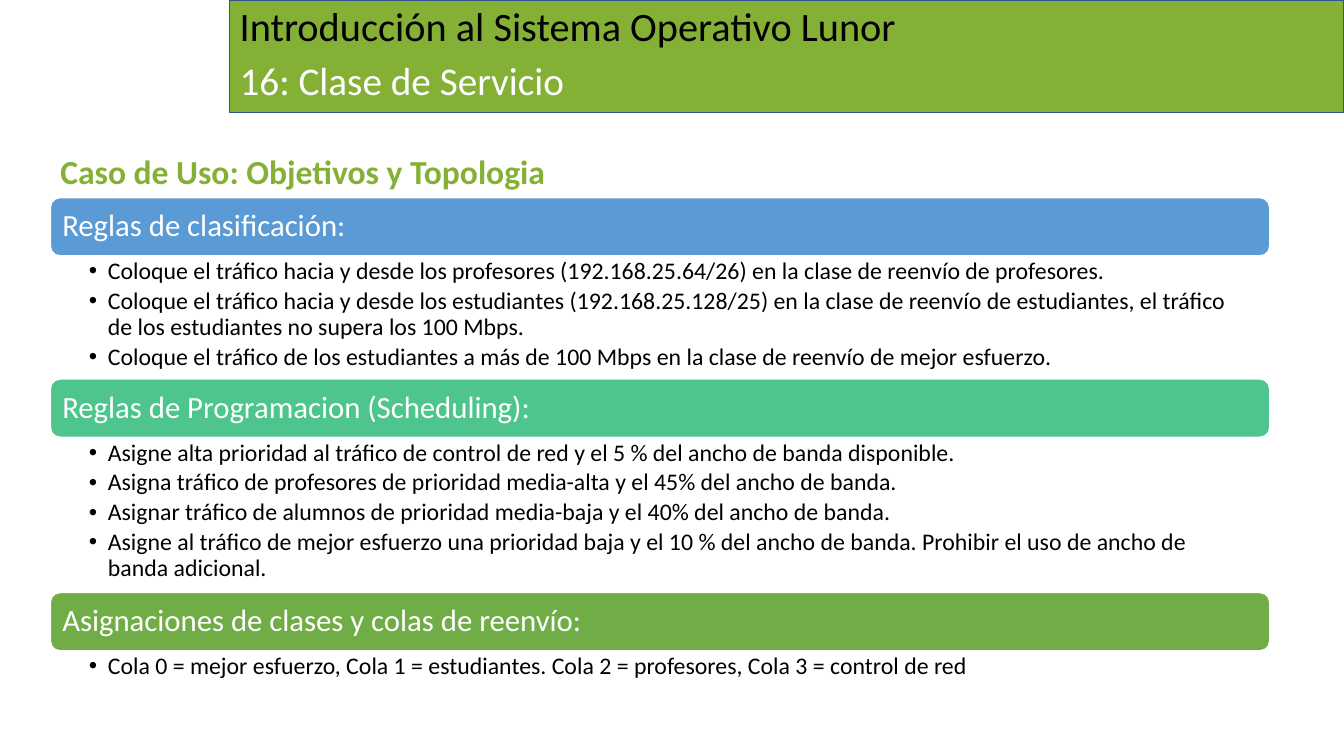
from pptx import Presentation
from pptx.dml.color import RGBColor
from pptx.enum.shapes import MSO_SHAPE
from pptx.enum.text import MSO_ANCHOR, PP_ALIGN
from pptx.oxml.ns import qn
from pptx.util import Cm, Pt
from lxml.etree import SubElement

INK = {
    "lime": "84B135", "navy": "325491", "white": "FFFFFF", "black": "000000",
    "blue": "5B9BD5", "mint": "4DC58D", "green": "70AD47",
}
FONT = "Calibri"

HEADS = [
    ("Introducción al Sistema Operativo Lunor",
     (5.79, 0.05, 28.07, 1.35), 28.8, "black", False, MSO_ANCHOR.MIDDLE),
    ("16: Clase de Servicio",
     (5.79, 1.42, 21.39, 1.42), 28, "white", False, MSO_ANCHOR.TOP),
    ("Caso de Uso: Objetivos y Topologia",
     (1.27, 3.78, 31.72, 12.09), 24, "lime", True, MSO_ANCHOR.TOP),
]

RULES = [
    ("Reglas de clasificación:", "blue", 3.1, [
        "Coloque el tráfico hacia y desde los profesores (192.168.25.64/26) en la clase de reenvío de profesores.",
        "Coloque el tráfico hacia y desde los estudiantes (192.168.25.128/25) en la clase de reenvío de estudiantes, el tráfico de los estudiantes no supera los 100 Mbps.",
        "Coloque el tráfico de los estudiantes a más de 100 Mbps en la clase de reenvío de mejor esfuerzo.",
    ]),
    ("Reglas de Programacion (Scheduling):", "mint", 3.91, [
        "Asigne alta prioridad al tráfico de control de red y el 5 % del ancho de banda disponible.",
        "Asigna tráfico de profesores de prioridad media-alta y el 45% del ancho de banda.",
        "Asignar tráfico de alumnos de prioridad media-baja y el 40% del ancho de banda.",
        "Asigne al tráfico de mejor esfuerzo una prioridad baja y el 10 % del ancho de banda. Prohibir el uso de ancho de banda adicional.",
    ]),
    ("Asignaciones de clases y colas de reenvío:", "green", 1.02, [
        "Cola 0 = mejor esfuerzo, Cola 1 = estudiantes. Cola 2 = profesores, Cola 3 = control de red",
    ]),
]

LEFT, TOP, WIDTH, BAR = 1.27, 4.98, 30.73, 1.47
HANG = 0.48


def tone(name):
    return RGBColor.from_string(INK[name])


def block(slide, kind, area, fill, line):
    shape = slide.shapes.add_shape(kind, *map(Cm, area))
    shape.shadow.inherit = False
    shape.fill.solid()
    shape.fill.fore_color.rgb = tone(fill)
    shape.line.color.rgb = tone(line)
    shape.line.width = Pt(1)
    return shape


def pad(frame, left, top, right, low):
    frame.word_wrap = True
    frame.margin_left, frame.margin_top = Cm(left), Cm(top)
    frame.margin_right, frame.margin_bottom = Cm(right), Cm(low)


def style(para, size, color, bold=False):
    para.alignment = PP_ALIGN.LEFT
    para.line_spacing = 0.9
    for run in para.runs:
        run.font.name = FONT
        run.font.size = Pt(size)
        run.font.bold = bold
        run.font.color.rgb = tone(color)


def bullet(para):
    props = para._p.get_or_add_pPr()
    props.set("marL", str(Cm(HANG)))
    props.set("indent", str(-Cm(HANG)))
    SubElement(props, qn("a:buFont")).set("typeface", "Arial")
    SubElement(props, qn("a:buChar")).set("char", "•")


def head(slide, text, area, size, color, bold, anchor):
    frame = slide.shapes.add_textbox(*map(Cm, area)).text_frame
    pad(frame, 0.25, 0.13, 0.25, 0.13)
    frame.vertical_anchor = anchor
    frame.text = text
    style(frame.paragraphs[0], size, color, bold)


def bar(slide, text, top, color):
    area = (LEFT, top, WIDTH, BAR)
    shape = block(slide, MSO_SHAPE.ROUNDED_RECTANGLE, area, color, "white")
    frame = shape.text_frame
    pad(frame, 0.23, 0.23, 0.23, 0.23)
    frame.vertical_anchor = MSO_ANCHOR.MIDDLE
    frame.text = text
    style(frame.paragraphs[0], 22, "white")


def points(slide, items, top, high):
    area = (LEFT, top, WIDTH, high)
    frame = slide.shapes.add_textbox(*map(Cm, area)).text_frame
    pad(frame, 0.97, 0.08, 0.43, 0.08)
    frame.text = "\n".join(items)
    for para in frame.paragraphs:
        bullet(para)
        style(para, 17, "black")
        para.space_after = Pt(3)


def main():
    deck = Presentation()
    deck.slide_width, deck.slide_height = Cm(33.87), Cm(19.05)
    slide = deck.slides.add_slide(deck.slide_layouts[6])
    block(slide, MSO_SHAPE.RECTANGLE, (5.79, 0, 28.07, 2.84), "lime", "navy")
    for item in HEADS:
        head(slide, *item)
    top = TOP
    for text, color, high, items in RULES:
        bar(slide, text, top, color)
        points(slide, items, top + BAR, high)
        top += BAR + high
    deck.save("out.pptx")


if __name__ == "__main__":
    main()
